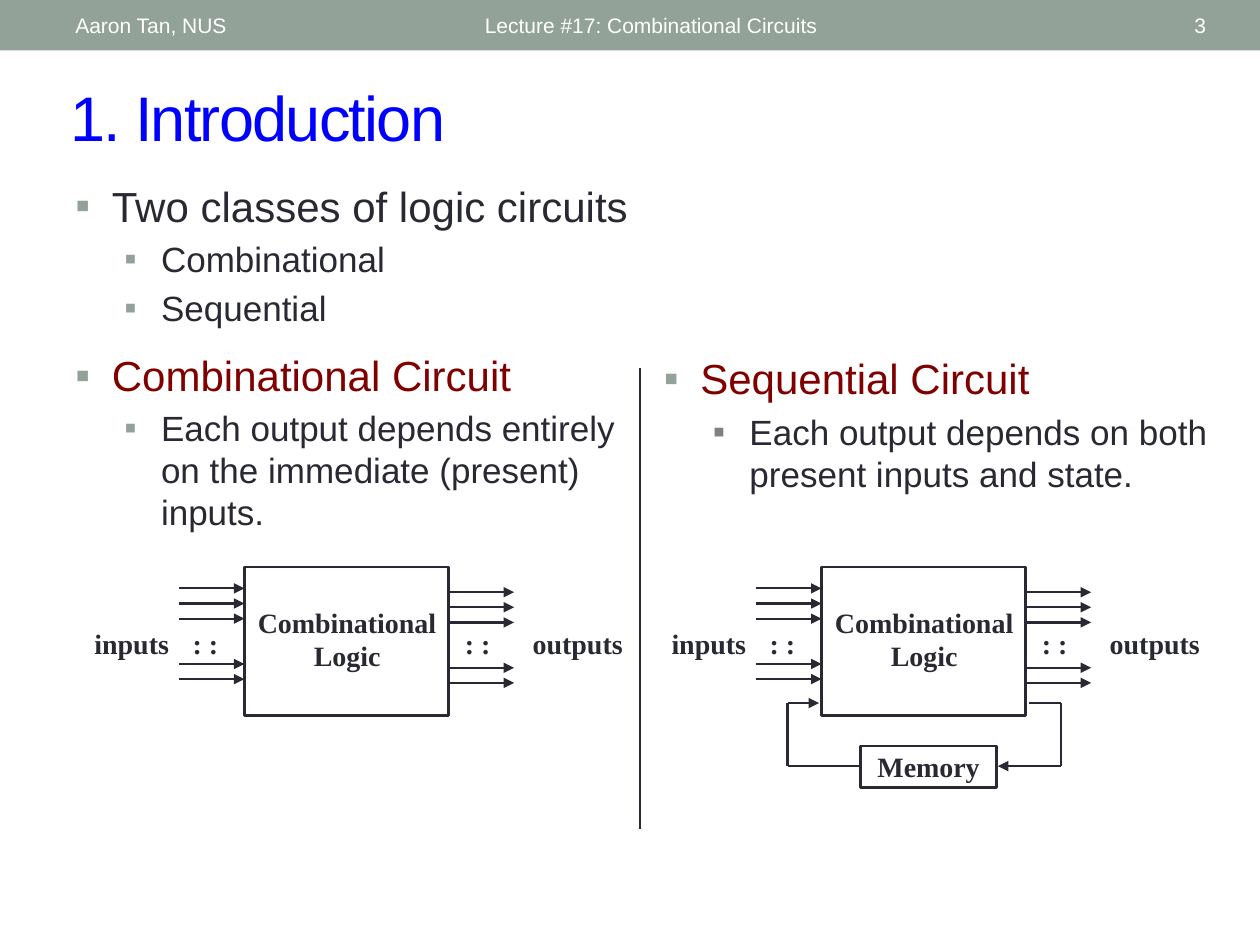
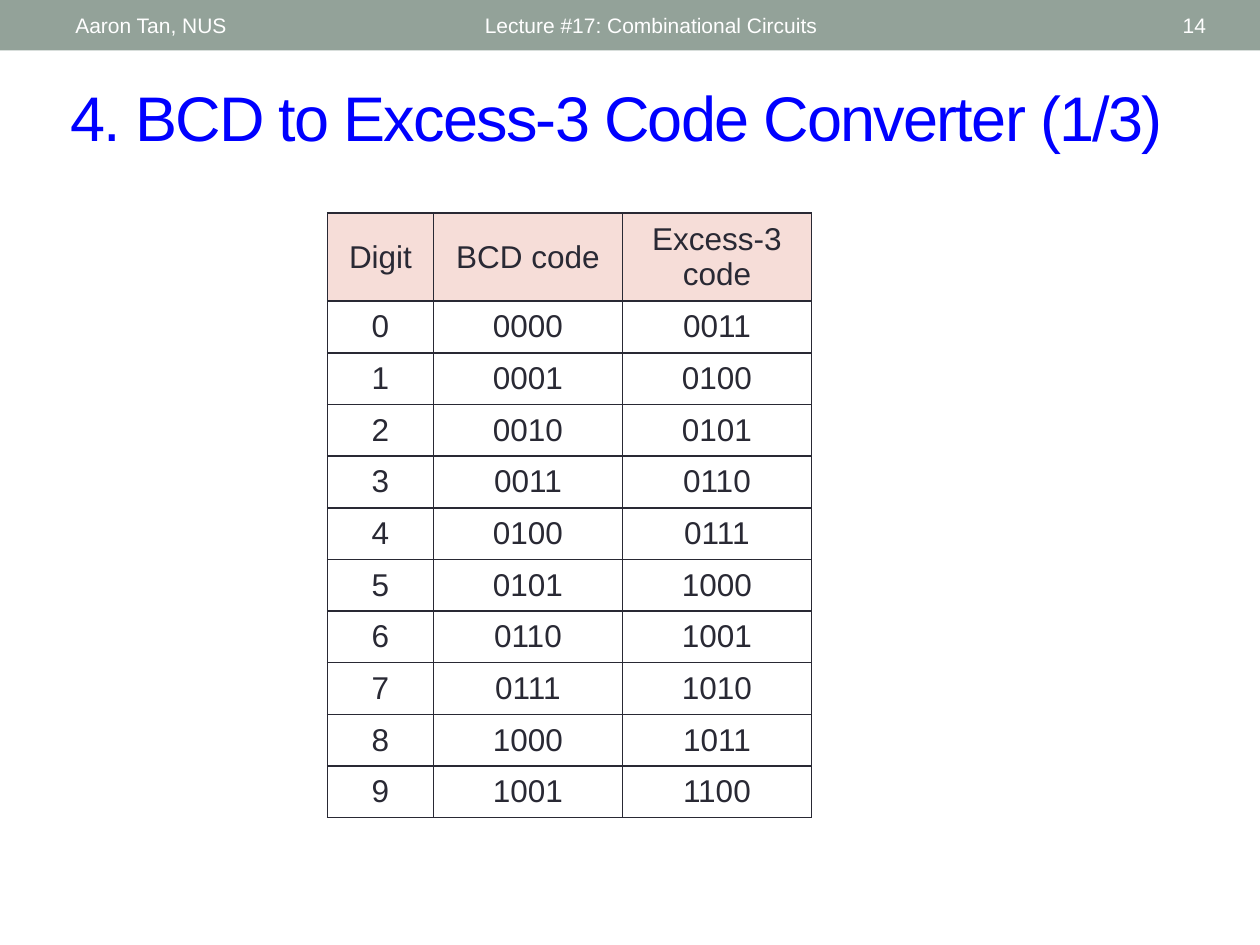
from dataclasses import dataclass
from typing import NamedTuple, Sequence

from lxml import etree
from pptx import Presentation
from pptx.dml.color import RGBColor
from pptx.enum.shapes import MSO_CONNECTOR, MSO_SHAPE
from pptx.enum.text import MSO_ANCHOR, PP_ALIGN
from pptx.oxml.ns import qn
from pptx.util import Inches, Pt

RECT = MSO_SHAPE.RECTANGLE
STRAIGHT = MSO_CONNECTOR.STRAIGHT
TOP, MIDDLE = MSO_ANCHOR.TOP, MSO_ANCHOR.MIDDLE
LEFT, CENTER, RIGHT = PP_ALIGN.LEFT, PP_ALIGN.CENTER, PP_ALIGN.RIGHT


@dataclass(frozen=True)
class Theme:
    ink: str = "292934"
    band: str = "93A299"
    title: str = "0000FF"
    accent: str = "800000"
    grey: str = "808080"
    header: str = "F6DDD8"
    white: str = "FFFFFF"
    sans: str = "Arial"
    serif: str = "Times New Roman"
    title_size: int = 36
    head_size: int = 24
    body_size: int = 20
    table_size: int = 18
    label_size: int = 16
    footer_size: int = 12


THEME = Theme()


class Box(NamedTuple):
    x: float
    y: float
    w: float
    h: float

    def shifted(self, dx: float) -> "Box":
        return self._replace(x=self.x + dx)


class Bullet(NamedTuple):
    text: str
    level: int = 0
    before: float = 4.8
    color: str = THEME.ink
    marker: str = THEME.band


class Label(NamedTuple):
    text: str
    box: Box
    inset: float = 0.1


class Wire(NamedTuple):
    x1: float
    y1: float
    x2: float
    y2: float
    arrow: bool = False


LOGIC_BOX = Box(1.94, 4.5, 1.62, 1.18)
MEMORY_BOX = Box(6.83, 5.92, 1.08, 0.33)
WIRE_LENGTH = 0.52
WIRE_STEPS = [0, 0.12, 0.24, 0.6, 0.72]
FIRST_INPUT, FIRST_OUTPUT = 4.67, 4.7
LOGIC_LABELS = [
    Label("Combinational\nLogic", Box(1.92, 4.75, 1.67, 0.64)),
    Label(": :", Box(1.42, 4.92, 0.42, 0.37)),
    Label(": :", Box(3.58, 4.92, 0.42, 0.37)),
    Label("inputs", Box(0.67, 4.92, 0.75, 0.37), 0.01),
    Label("outputs", Box(4.17, 4.92, 0.83, 0.37), 0.01),
]
FEEDBACK = [
    Wire(8.17, 5.58, 8.42, 5.58),
    Wire(8.42, 5.58, 8.42, 6.08),
    Wire(8.42, 6.08, 7.92, 6.08, True),
    Wire(6.83, 6.08, 6.25, 6.08),
    Wire(6.25, 6.08, 6.25, 5.58),
    Wire(6.25, 5.58, 6.5, 5.58, True),
]
LEFT_BULLETS = [
    Bullet("Two classes of logic circuits", before=0),
    Bullet("Combinational", 1, 4),
    Bullet("Sequential", 1, 4),
    Bullet("Combinational Circuit", 0, 12, THEME.accent),
    Bullet("Each output depends entirely on the immediate (present) inputs.", 1, 4),
]
RIGHT_BULLETS = [
    Bullet("Sequential Circuit", 0, 0, THEME.accent),
    Bullet("Each output depends on both present inputs and state.", 1, 4,
           marker=THEME.grey),
]


def rgb(value: str) -> RGBColor:
    return RGBColor.from_string(value)


def style(p, size: float, color: str, font: str = THEME.sans, bold: bool = False) -> None:
    for r in p.runs:
        r.font.name = font
        r.font.size = Pt(size)
        r.font.bold = bold
        r.font.color.rgb = rgb(color)


def add_text(s, text: str, box: Box, size: float, color: str, font: str = THEME.sans,
             bold: bool = False, align=LEFT, anchor=MIDDLE, inset: float = 0.1):
    sp = s.shapes.add_textbox(*map(Inches, box))
    tf = sp.text_frame
    tf.word_wrap = True
    tf.vertical_anchor = anchor
    tf.margin_left = tf.margin_right = Inches(inset)
    tf.margin_top = tf.margin_bottom = Inches(0.05)
    tf.text = text
    for p in tf.paragraphs:
        p.alignment = align
        style(p, size, color, font, bold)
    return tf


def add_rect(s, box: Box, fill: str = "", line: str = ""):
    sp = s.shapes.add_shape(RECT, *map(Inches, box))
    sp.shadow.inherit = False
    if fill:
        sp.fill.solid()
        sp.fill.fore_color.rgb = rgb(fill)
    else:
        sp.fill.background()
    if line:
        sp.line.color.rgb = rgb(line)
        sp.line.width = Pt(1.5)
    else:
        sp.line.fill.background()


def add_wire(s, wire: Wire, width: float) -> None:
    ends = map(Inches, (wire.x1, wire.y1, wire.x2, wire.y2))
    c = s.shapes.add_connector(STRAIGHT, *ends)
    c.line.color.rgb = rgb(THEME.ink)
    c.line.width = Pt(width)
    if wire.arrow:
        etree.SubElement(c.line._get_or_add_ln(), qn("a:tailEnd"), type="triangle")
    etree.SubElement(c._element.spPr, qn("a:effectLst"))


def add_bullets(s, box: Box, bullets: Sequence[Bullet]) -> None:
    tf = add_text(s, "\n".join(b.text for b in bullets), box, THEME.body_size,
                  THEME.ink, anchor=TOP)
    for p, b in zip(tf.paragraphs, bullets):
        p.level = b.level
        p.space_before = Pt(b.before)
        pPr = p._p.get_or_add_pPr()
        pPr.set("marL", str(Inches((0.29, 0.68)[b.level])))
        pPr.set("indent", str(Inches(-0.29)))
        marker = etree.SubElement(pPr, qn("a:buClr"))
        etree.SubElement(marker, qn("a:srgbClr"), val=b.marker)
        etree.SubElement(pPr, qn("a:buFont"), typeface=THEME.sans)
        etree.SubElement(pPr, qn("a:buChar"), char="▪")
        style(p, (THEME.head_size, THEME.body_size)[b.level], b.color)


def add_label(s, label: Label, dx: float = 0) -> None:
    add_text(s, label.text, label.box.shifted(dx), THEME.label_size, THEME.ink,
             THEME.serif, True, CENTER, inset=label.inset)


def add_logic(s, dx: float) -> None:
    box = LOGIC_BOX.shifted(dx)
    add_rect(s, box, line=THEME.ink)
    sides = ((box.x - WIRE_LENGTH, FIRST_INPUT), (box.x + box.w, FIRST_OUTPUT))
    for x, first in sides:
        for step in WIRE_STEPS:
            y = first + step
            add_wire(s, Wire(x, y, x + WIRE_LENGTH, y, True), 1.25)
    for label in LOGIC_LABELS:
        add_label(s, label, dx)


def add_memory(s) -> None:
    add_rect(s, MEMORY_BOX, line=THEME.ink)
    add_label(s, Label("Memory", MEMORY_BOX, 0.01))
    for wire in FEEDBACK:
        add_wire(s, wire, 1.5)


def style_cell(cell, fill: str) -> None:
    cell.vertical_anchor = MIDDLE
    p = cell.text_frame.paragraphs[0]
    p.alignment = CENTER
    style(p, THEME.table_size, THEME.ink)
    tcPr = cell._tc.get_or_add_tcPr()
    for side in ("lnL", "lnR", "lnT", "lnB"):
        ln = etree.SubElement(tcPr, qn(f"a:{side}"), w=str(Pt(1)))
        solid = etree.SubElement(ln, qn("a:solidFill"))
        etree.SubElement(solid, qn("a:srgbClr"), val=THEME.ink)
    if fill:
        cell.fill.solid()
        cell.fill.fore_color.rgb = rgb(fill)
    else:
        cell.fill.background()


def add_code_table(s) -> None:
    rows = [("Digit", "BCD code", "Excess-3 code")]
    rows += [(str(d), f"{d:04b}", f"{d + 3:04b}") for d in range(10)]
    box = Box(2.6, 1.69, 3.84, 4.76)
    table = s.shapes.add_table(len(rows), 3, *map(Inches, box)).table
    for column, width in zip(table.columns, (0.84, 1.5, 1.5)):
        column.width = Inches(width)
    for i, values in enumerate(rows):
        table.rows[i].height = Inches(0.41 if i else 0.66)
        for j, value in enumerate(values):
            cell = table.cell(i, j)
            cell.text = value
            style_cell(cell, "" if i else THEME.header)


def add_slide(prs, title: str, number: int):
    s = prs.slides.add_slide(prs.slide_layouts[6])
    add_rect(s, Box(0, 0, 10, 0.4), fill=THEME.band)
    tf = add_text(s, title, Box(0.46, 0.57, 9.21, 0.7), THEME.title_size, THEME.title)
    for r in tf.paragraphs[0].runs:
        r.font._element.set("spc", "-100")
    footers = (
        ("Aaron Tan, NUS", Box(0.5, 0.02, 3.17, 0.36), LEFT),
        ("Lecture #17: Combinational Circuits", Box(3.75, 0.02, 4.5, 0.36), LEFT),
        (str(number), Box(8.72, 0.02, 0.95, 0.36), RIGHT),
    )
    for text, box, align in footers:
        add_text(s, text, box, THEME.footer_size, THEME.white, align=align)
    return s


def build_introduction(prs) -> None:
    s = add_slide(prs, "1. Introduction", 3)
    add_bullets(s, Box(0.5, 1.38, 4.83, 5.37), LEFT_BULLETS)
    add_bullets(s, Box(5.17, 2.75, 4.67, 1.67), RIGHT_BULLETS)
    add_wire(s, Wire(5.08, 2.92, 5.08, 6.58), 0.75)
    for dx in (0, 4.58):
        add_logic(s, dx)
    add_memory(s)


def build_converter(prs) -> None:
    s = add_slide(prs, "4. BCD to Excess-3 Code Converter (1/3)", 14)
    add_code_table(s)


def main() -> None:
    prs = Presentation()
    prs.slide_width, prs.slide_height = Inches(10), Inches(7.5)
    build_introduction(prs)
    build_converter(prs)
    prs.save("out.pptx")


if __name__ == "__main__":
    main()
